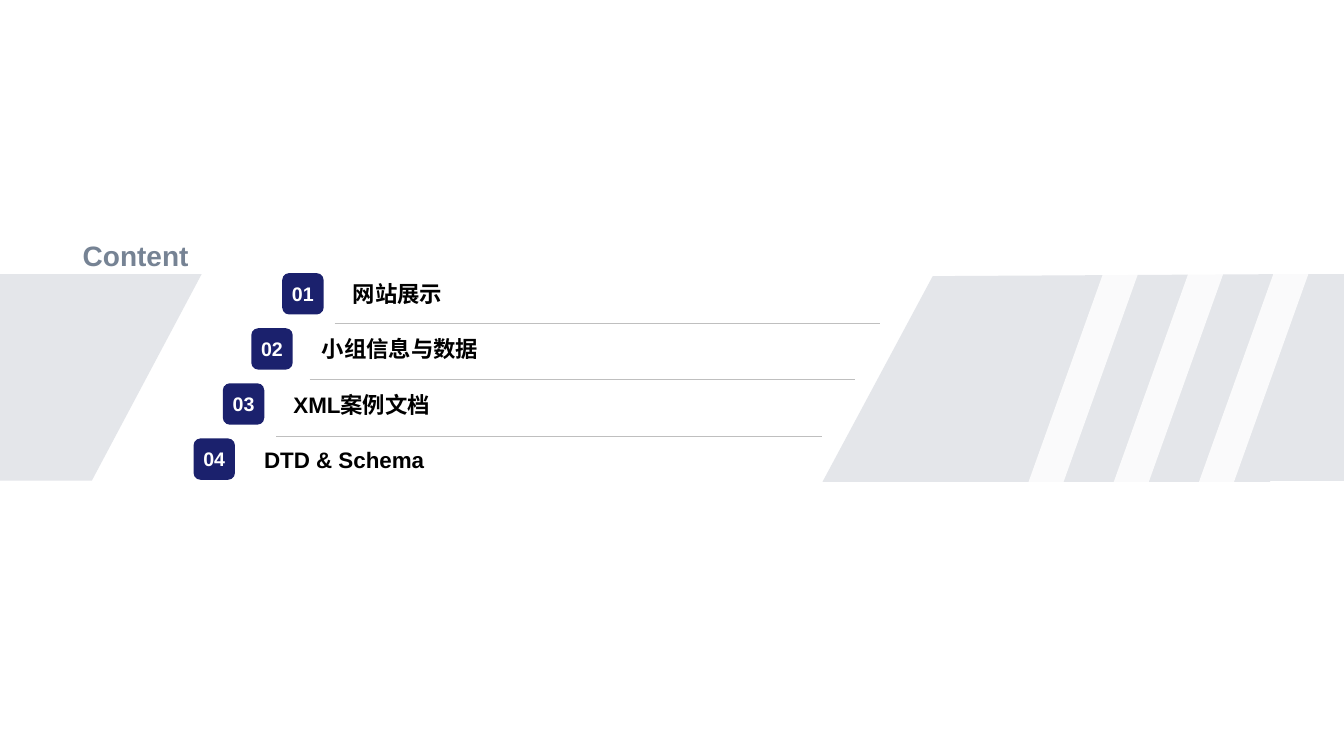
from lxml import etree
from pptx import Presentation
from pptx import util as u
from pptx.dml.color import RGBColor
from pptx.enum import shapes, text
from pptx.oxml import ns

NAVY = RGBColor(0x1B, 0x21, 0x6D)
SLATE = RGBColor(0x76, 0x83, 0x94)
PALE = RGBColor(0xE4, 0xE6, 0xEA)
RULE = RGBColor(0xBF, 0xBF, 0xBF)
WHITE = RGBColor(0xFF, 0xFF, 0xFF)
BLACK = RGBColor(0, 0, 0)

TOPICS = [("网站展示", 21.0), ("小组信息与数据", 18.7),
          ("XML案例文档", 16.58), ("DTD & Schema", 14.4)]
RULES = [(24.9, 42.8), (23.03, 50.13), (20.55, 57.73)]
LEFT_PANEL = [(0, 36.27), (15, 36.27), (6.83, 63.6), (0, 63.6)]
RIGHT_PANEL = [(94.5, 36.27), (100, 36.27), (100, 63.6), (94.5, 63.6),
               (94.5, 63.73), (61.2, 63.73), (69.4, 36.53)]
ROW_PITCH = 7.29
STRIPE_PITCH = 6.34


class Deck:
    font = "Arial"

    def __init__(self, prs, layout):
        self.prs = prs
        self.slide = prs.slides.add_slide(prs.slide_layouts[layout])

    def x(self, share):
        return round(self.prs.slide_width * share / 100)

    def y(self, share):
        return round(self.prs.slide_height * share / 100)

    def box(self, left, top, width, height):
        return self.x(left), self.y(top), self.x(width), self.y(height)

    def paint(self, sp, color):
        sp.shadow.inherit = False
        sp.fill.solid()
        sp.fill.fore_color.rgb = color
        sp.line.fill.background()

    def label(self, sp, words, size, color, align):
        tf = sp.text_frame
        tf.text = words
        tf.word_wrap = True
        tf.auto_size = text.MSO_AUTO_SIZE.NONE
        tf.vertical_anchor = text.MSO_ANCHOR.MIDDLE
        p = tf.paragraphs[0]
        p.alignment = align
        p.space_before = u.Pt(0)
        for r in p.runs:
            r.font.name = self.font
            r.font.size = u.Pt(size)
            r.font.bold = True
            r.font.color.rgb = color

    def placeholder(self, idx, words, size, color, *area):
        sp = self.slide.placeholders[idx]
        sp.left, sp.top, sp.width, sp.height = self.box(*area)
        self.label(sp, words, size, color, text.PP_ALIGN.LEFT)
        pPr = sp.text_frame.paragraphs[0]._p.get_or_add_pPr()
        pPr.set("marL", "0")
        pPr.set("indent", "0")
        etree.SubElement(pPr, ns.qn("a:buNone"))

    def panel(self, points):
        corners = [(self.x(a), self.y(b)) for a, b in points]
        fb = self.slide.shapes.build_freeform(*corners[0])
        fb.add_line_segments(corners[1:], close=True)
        self.paint(fb.convert_to_shape(), PALE)

    def stripe(self, *area):
        sp = self.slide.shapes.add_shape(
            shapes.MSO_SHAPE.PARALLELOGRAM, *self.box(*area))
        sp.adjustments[0] = 0.7
        self.paint(sp, WHITE)
        color = sp._element.spPr.find(ns.qn("a:solidFill"))[0]
        etree.SubElement(color, ns.qn("a:alpha"), val="82000")

    def badge(self, words, *area):
        sp = self.slide.shapes.add_shape(
            shapes.MSO_SHAPE.ROUNDED_RECTANGLE, *self.box(*area))
        self.paint(sp, NAVY)
        tf = sp.text_frame
        tf.margin_left = tf.margin_right = tf.margin_top = tf.margin_bottom = 0
        self.label(sp, words, 14, WHITE, text.PP_ALIGN.CENTER)

    def rule(self, left, top, width):
        line = self.slide.shapes.add_connector(
            shapes.MSO_CONNECTOR.STRAIGHT, self.x(left), self.y(top),
            self.x(left + width), self.y(top))
        line.line.color.rgb = RULE
        line.line.width = u.Pt(0.25)
        etree.SubElement(line._element.spPr, ns.qn("a:effectLst"))


def main():
    prs = Presentation()
    prs.slide_width, prs.slide_height = u.Inches(13.33), u.Inches(7.5)
    deck = Deck(prs, 4)
    deck.panel(RIGHT_PANEL)
    deck.panel(LEFT_PANEL)
    for i in range(3):
        deck.stripe(76.05 + i * STRIPE_PITCH, 35.87, 8.7, 30.27)
    deck.placeholder(0, "Content", 20, SLATE, 5.4, 29.2, 16.73, 9.07)
    for i, (topic, left) in enumerate(TOPICS):
        down = i * ROW_PITCH
        deck.placeholder(i + 1, topic, 16, BLACK,
                         left + 4.5, 35.87 + down, 23.03, 6)
        deck.badge(f"{i + 1:02}", left, 36.13 + down, 3.08, 5.47)
    for left, top in RULES:
        deck.rule(left, top, 40.6)
    prs.save("out.pptx")


if __name__ == "__main__":
    main()
